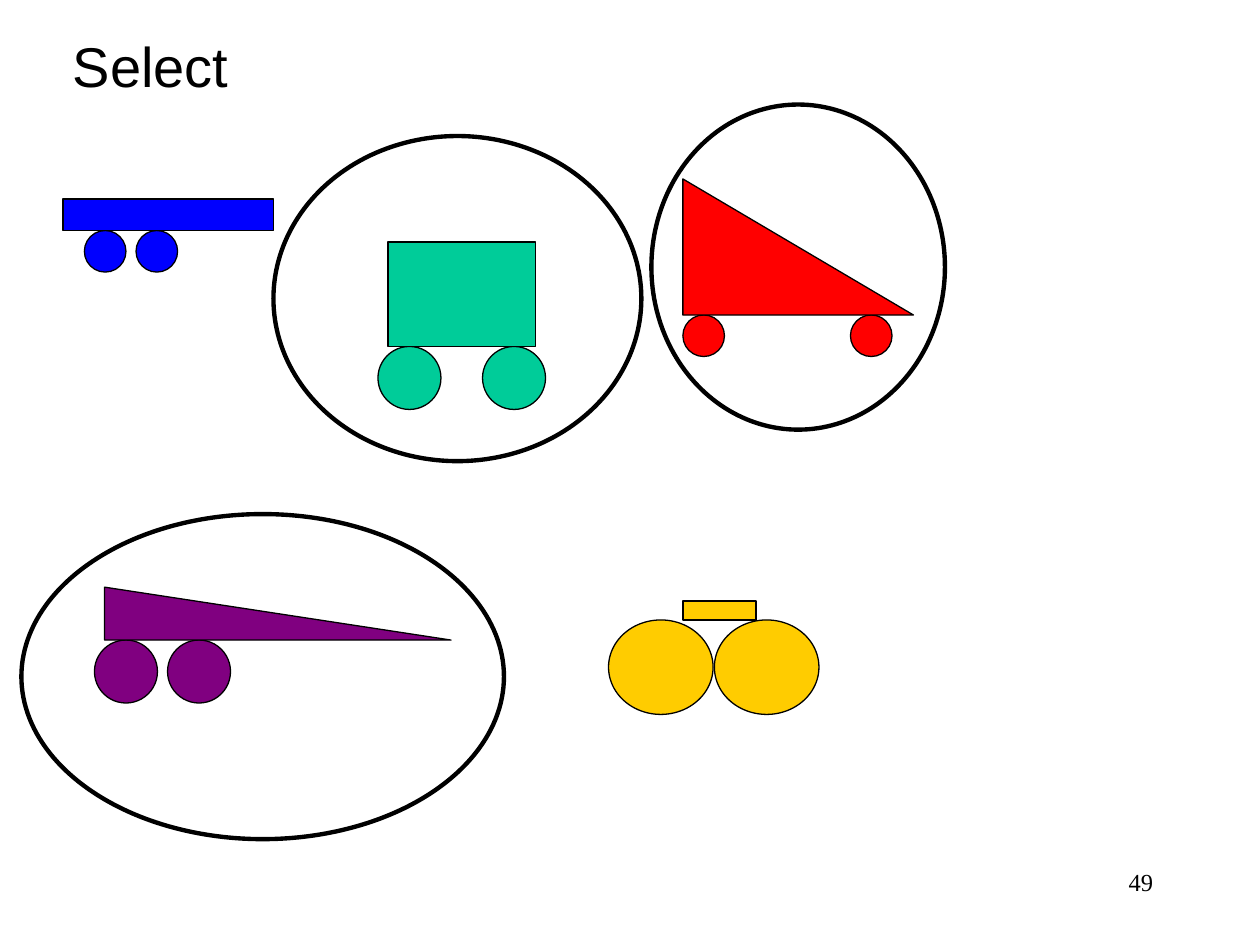
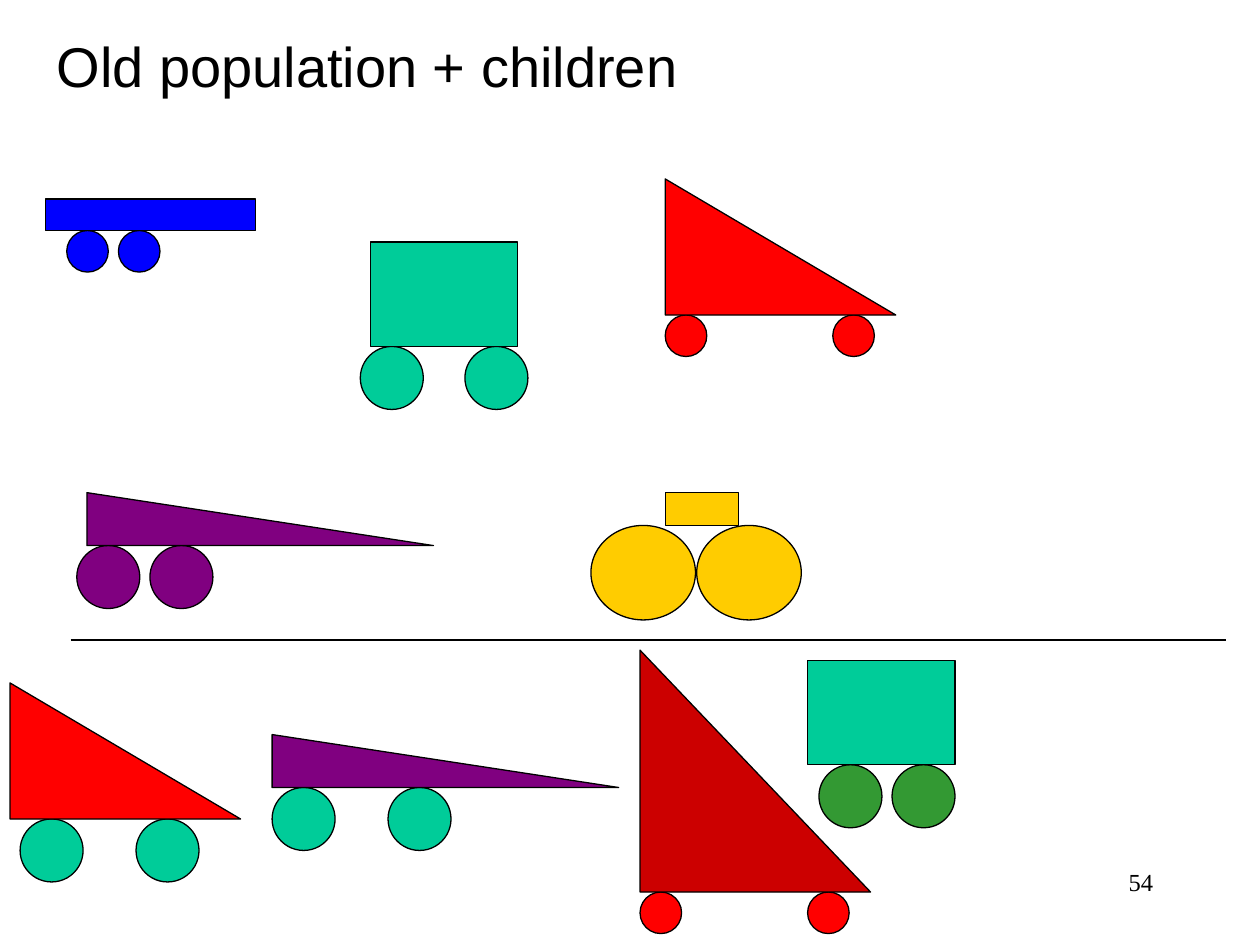
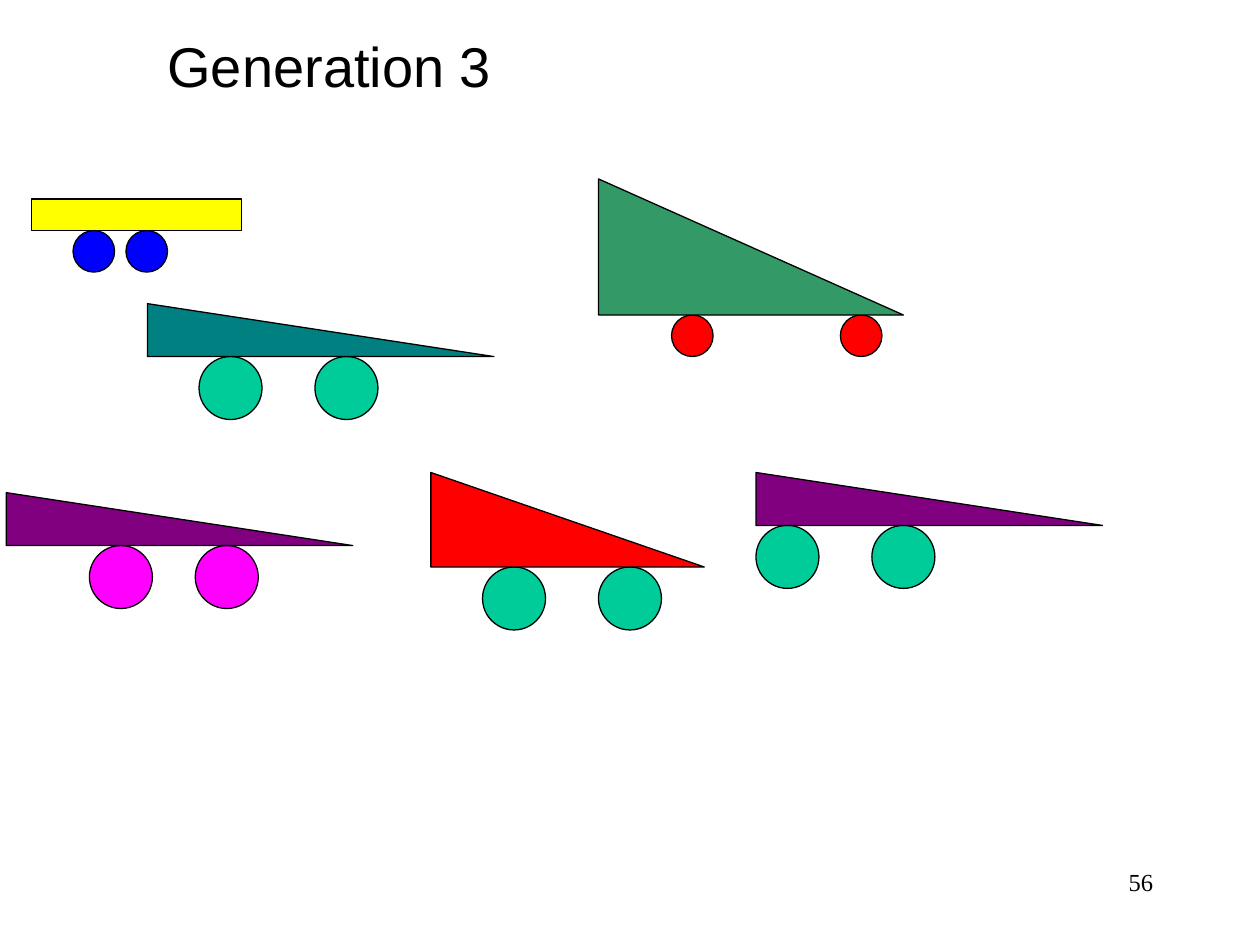
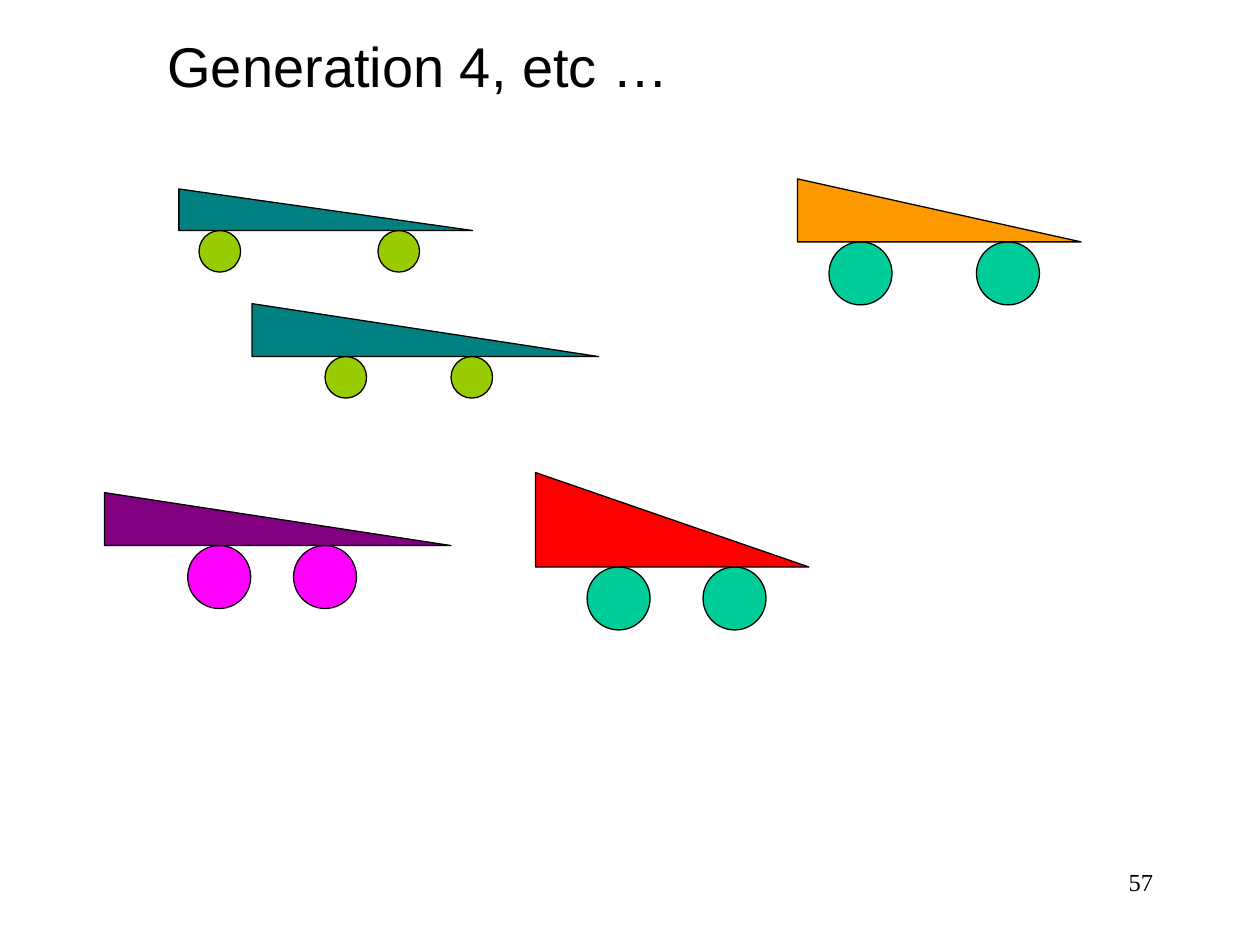
from dataclasses import dataclass, replace

import lxml.etree
import pptx
import pptx.dml.color
import pptx.enum.shapes
import pptx.enum.text
import pptx.oxml.ns
import pptx.presentation
import pptx.shapes.autoshape
import pptx.slide
import pptx.util
from pptx.util import Inches

COLORS = {
    "black": "000000",
    "white": "FFFFFF",
    "blue": "0000FF",
    "mint": "00CC99",
    "red": "FF0000",
    "purple": "800080",
    "gold": "FFCC00",
    "crimson": "CC0000",
    "green": "339933",
    "yellow": "FFFF00",
    "sea": "339966",
    "magenta": "FF00FF",
    "teal": "008080",
    "lime": "99CC00",
    "orange": "FF9900",
}
SHAPES = pptx.enum.shapes.MSO_SHAPE
BOX = SHAPES.RECTANGLE
WEDGE = SHAPES.RIGHT_TRIANGLE
SMALL = (0.33, 0.33)
MEDIUM = (0.5, 0.5)
LARGE = (0.83, 0.75)
OUTLINE = 0.75
SELECTION_OUTLINE = 2.5
OLD_SHIFT = -0.14
OLD_LIFT = -0.75


@dataclass(frozen=True)
class Cart:
    body: SHAPES
    left: float
    axle: float
    width: float
    height: float
    color: str
    wheel_offsets: tuple[float, float]
    wheel_size: tuple[float, float]
    wheel_color: str


@dataclass(frozen=True)
class Page:
    title: str
    title_left: float
    title_width: float
    number: int
    carts: list[Cart]
    title_wraps: bool = False
    selections: tuple[tuple[float, float, float, float], ...] = ()
    divider: tuple[float, float, float] | None = None


def moved(cart: Cart, right: float, down: float = 0) -> Cart:
    return replace(cart, left=cart.left + right, axle=cart.axle + down)


BLUE_CART = Cart(BOX, 0.5, 1.83, 1.67, 0.25, "blue", (0.17, 0.58), SMALL, "blue")
MINT_CART = Cart(BOX, 3.08, 2.75, 1.17, 0.83, "mint", (-0.08, 0.75), MEDIUM, "mint")
RED_CART = Cart(WEDGE, 5.42, 2.5, 1.83, 1.08, "red", (0, 1.33), SMALL, "red")
PURPLE_CART = Cart(WEDGE, 0.83, 5.08, 2.75, 0.42, "purple", (-0.08, 0.5), MEDIUM, "purple")
GOLD_CART = Cart(BOX, 5.42, 4.92, 0.58, 0.15, "gold", (-0.59, 0.25), LARGE, "gold")

OLD_POPULATION = [
    *(moved(cart, OLD_SHIFT) for cart in (BLUE_CART, MINT_CART, RED_CART)),
    moved(PURPLE_CART, OLD_SHIFT, OLD_LIFT),
    moved(replace(GOLD_CART, height=0.26), OLD_SHIFT, OLD_LIFT),
]
CHILDREN = [
    Cart(WEDGE, 0.08, 6.5, 1.83, 1.08, "red", (0.08, 1), MEDIUM, "mint"),
    Cart(WEDGE, 2.16, 6.25, 2.75, 0.42, "purple", (0, 0.92), MEDIUM, "mint"),
    Cart(WEDGE, 5.08, 7.08, 1.83, 1.92, "crimson", (0, 1.33), SMALL, "red"),
    Cart(BOX, 6.41, 6.07, 1.17, 0.83, "mint", (0.09, 0.67), MEDIUM, "green"),
]

MAGENTA_WHEELED = Cart(WEDGE, 0.05, 4.33, 2.75, 0.42, "purple", (0.66, 1.5), MEDIUM, "magenta")
RED_MINT = Cart(WEDGE, 3.42, 4.5, 2.17, 0.75, "red", (0.41, 1.33), MEDIUM, "mint")
TEAL_MINT = Cart(WEDGE, 1.17, 2.83, 2.75, 0.42, "teal", (0.41, 1.33), MEDIUM, "mint")
TEAL_LIME = replace(
    moved(TEAL_MINT, 0.83), wheel_offsets=(0.58, 1.58), wheel_size=SMALL, wheel_color="lime"
)

PAGES = [
    Page(
        "Select", 0.48, 2.08, 49,
        [BLUE_CART, MINT_CART, RED_CART, PURPLE_CART, GOLD_CART],
        title_wraps=True,
        selections=(
            (0.17, 4.08, 3.83, 2.58),
            (2.17, 1.08, 2.92, 2.58),
            (5.17, 0.83, 2.33, 2.58),
        ),
    ),
    Page(
        "Old population + children", 0.35, 5.17, 54,
        OLD_POPULATION + CHILDREN,
        divider=(0.56, 9.73, 5.08),
    ),
    Page(
        "Generation 3", 1.23, 2.79, 56,
        [
            Cart(BOX, 0.25, 1.83, 1.67, 0.25, "yellow", (0.33, 0.75), SMALL, "blue"),
            Cart(WEDGE, 4.75, 2.5, 2.42, 1.08, "sea", (0.58, 1.92), SMALL, "red"),
            MAGENTA_WHEELED,
            RED_MINT,
            Cart(WEDGE, 6, 4.17, 2.75, 0.42, "purple", (0, 0.92), MEDIUM, "mint"),
            TEAL_MINT,
        ],
    ),
    Page(
        "Generation 4, etc …", 1.23, 4.21, 57,
        [
            moved(MAGENTA_WHEELED, 0.78),
            moved(RED_MINT, 0.83),
            TEAL_LIME,
            Cart(WEDGE, 6.33, 1.92, 2.25, 0.5, "orange", (0.25, 1.42), MEDIUM, "mint"),
            Cart(WEDGE, 1.42, 1.83, 2.33, 0.33, "teal", (0.16, 1.58), SMALL, "lime"),
        ],
    ),
]


def rgb(color: str) -> pptx.dml.color.RGBColor:
    return pptx.dml.color.RGBColor.from_string(COLORS[color])


def add_outlined(
    slide: pptx.slide.Slide,
    kind: SHAPES,
    left: float,
    top: float,
    width: float,
    height: float,
    color: str | None = None,
    outline: float = OUTLINE,
) -> pptx.shapes.autoshape.Shape:
    shape = slide.shapes.add_shape(
        kind, Inches(left), Inches(top), Inches(width), Inches(height)
    )
    shape.shadow.inherit = False
    if color is None:
        shape.fill.background()
    else:
        shape.fill.solid()
        shape.fill.fore_color.rgb = rgb(color)
    shape.line.color.rgb = rgb("black")
    shape.line.width = pptx.util.Pt(outline)
    return shape


def add_text(
    slide: pptx.slide.Slide,
    text: str,
    *,
    left: float,
    top: float,
    width: float,
    height: float,
    font: str,
    size: float,
    align: pptx.enum.text.PP_ALIGN = pptx.enum.text.PP_ALIGN.LEFT,
    wrap: bool = True,
    grow: bool = False,
) -> None:
    box = slide.shapes.add_textbox(Inches(left), Inches(top), Inches(width), Inches(height))
    frame = box.text_frame
    frame.word_wrap = wrap
    if grow:
        frame.auto_size = pptx.enum.text.MSO_AUTO_SIZE.SHAPE_TO_FIT_TEXT
    paragraph = frame.paragraphs[0]
    paragraph.alignment = align
    run = paragraph.add_run()
    run.text = text
    run.font.name = font
    run.font.size = pptx.util.Pt(size)
    run.font.color.rgb = rgb("black")


def add_cart(slide: pptx.slide.Slide, cart: Cart) -> None:
    for offset in cart.wheel_offsets:
        add_outlined(
            slide, SHAPES.OVAL, cart.left + offset, cart.axle, *cart.wheel_size, cart.wheel_color
        )
    add_outlined(
        slide, cart.body, cart.left, cart.axle - cart.height, cart.width, cart.height, cart.color
    )


def add_divider(slide: pptx.slide.Slide, start: float, end: float, top: float) -> None:
    line = slide.shapes.add_connector(
        pptx.enum.shapes.MSO_CONNECTOR.STRAIGHT,
        Inches(start), Inches(top), Inches(end), Inches(top),
    )
    line.line.color.rgb = rgb("black")
    line.line.width = pptx.util.Pt(OUTLINE)
    lxml.etree.SubElement(line._element.spPr, pptx.oxml.ns.qn("a:effectLst"))


def add_page(presentation: pptx.presentation.Presentation, page: Page) -> None:
    slide = presentation.slides.add_slide(presentation.slide_layouts[6])
    slide.background.fill.solid()
    slide.background.fill.fore_color.rgb = rgb("white")
    for cart in page.carts:
        add_cart(slide, cart)
    add_text(
        slide, page.title, left=page.title_left, top=0.2, width=page.title_width, height=0.64,
        font="Arial", size=32, wrap=page.title_wraps, grow=True,
    )
    for selection in page.selections:
        add_outlined(slide, SHAPES.OVAL, *selection, outline=SELECTION_OUTLINE)
    if page.divider:
        add_divider(slide, *page.divider)
    add_text(
        slide, str(page.number), left=7.17, top=6.83, width=2.08, height=0.5,
        font="Times New Roman", size=14, align=pptx.enum.text.PP_ALIGN.RIGHT,
    )


def main() -> None:
    presentation = pptx.Presentation()
    presentation.slide_width = Inches(10)
    presentation.slide_height = Inches(7.5)
    for page in PAGES:
        add_page(presentation, page)
    presentation.save("out.pptx")


if __name__ == "__main__":
    main()
